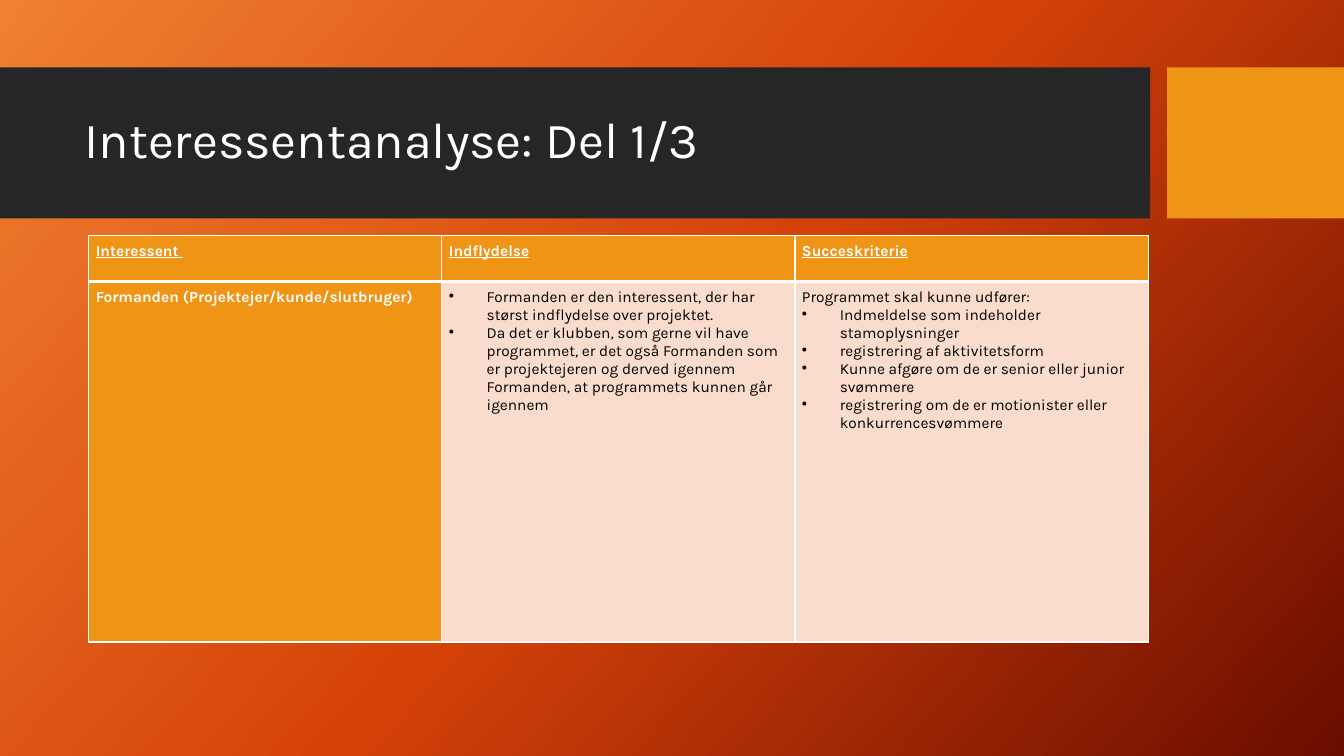
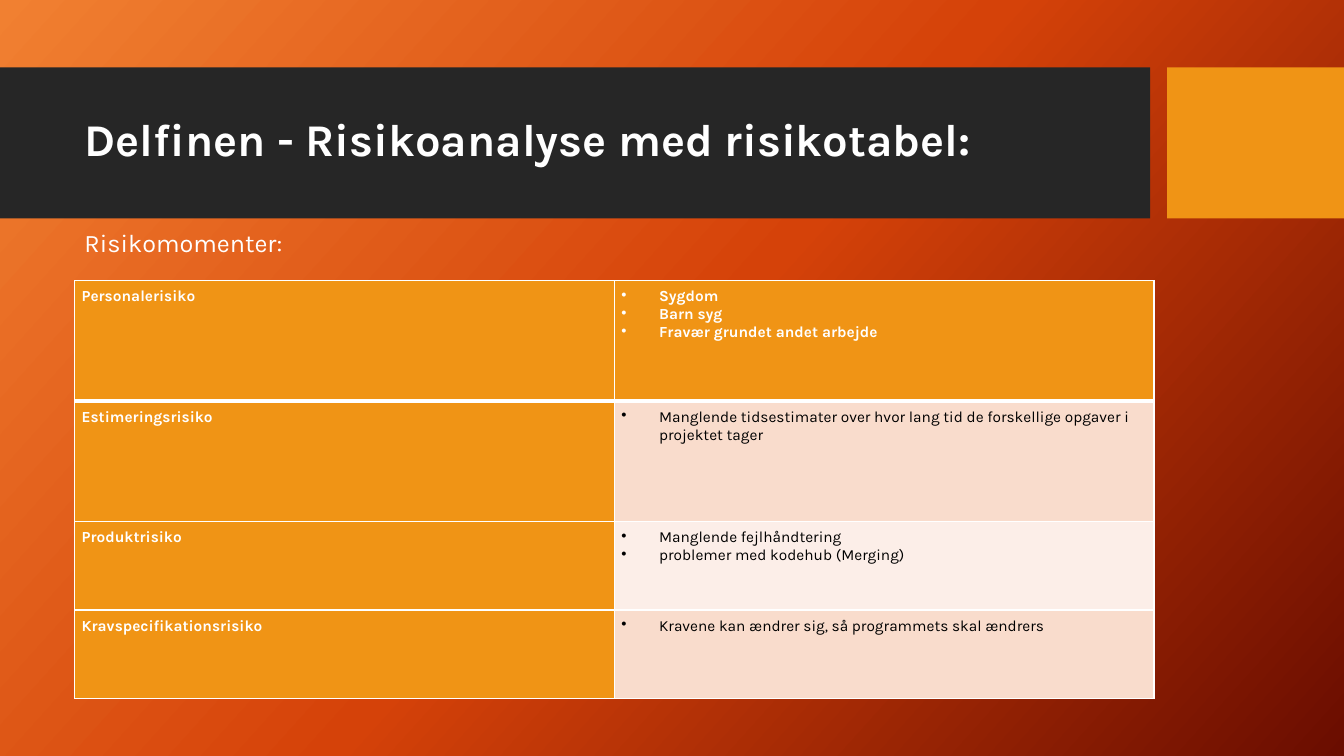
import copy
from dataclasses import dataclass

import pptx
import pptx.dml.color
import pptx.enum.dml
import pptx.enum.shapes
import pptx.enum.text
import pptx.oxml
import pptx.oxml.ns
import pptx.util

Pt = pptx.util.Pt
qn = pptx.oxml.ns.qn


# Theme
@dataclass(frozen=True)
class Theme:
    font: str = "Karla"
    white: str = "FFFFFF"
    black: str = "000000"
    dark: str = "262626"
    gold: str = "F09415"
    rose: str = "F9DCCC"
    pale: str = "FCEEE8"
    glow: tuple[str, ...] = ("F18031", "D54209", "6A0D00")
    angle: int = 42
    title: float = 36
    small: float = 32.4
    sub: float = 18
    cell: float = 11
    inset: float = 5
    indent: float = 27
    thin: float = 1
    thick: float = 3


THEME = Theme()


@dataclass(frozen=True)
class Box:
    left: float
    top: float
    width: float
    height: float

    def points(self) -> tuple[int, ...]:
        return tuple(map(Pt, (self.left, self.top, self.width, self.height)))


@dataclass(frozen=True)
class Band:
    box: Box
    fill: str


@dataclass(frozen=True)
class Cell:
    lines: tuple[str, ...]
    fill: str = THEME.gold
    bold: bool = True
    under: bool = False
    plain: int = 0  # lines before the bullets start


@dataclass(frozen=True)
class Grid:
    left: float
    top: float
    width: float
    heights: tuple[float, ...]
    rows: tuple[tuple[Cell, ...], ...]


BANDS = (
    Band(Box(0, 48.2, 821.6, 107.8), THEME.dark),
    Band(Box(833.6, 48.2, 126.4, 107.8), THEME.gold),
)
TITLE = Box(53.3, 59, 756.7, 85)
SUB = Box(53.3, 159.1, 385, 51)


def head(text: str) -> Cell:
    return Cell((text,), under=True, plain=1)


def label(text: str) -> Cell:
    return Cell((text,), plain=1)


def body(*lines: str, fill: str = THEME.rose, plain: int = 0) -> Cell:
    return Cell(lines, fill, bold=False, plain=plain)


# Content
PARTIES = Grid(63.4, 168.1, 756.7, (33, 257.5), (
    (head("Interessent\u00a0"), head("Indflydelse"), head("Succeskriterie")),
    (
        label("Formanden (Projektejer/kunde/slutbruger)"),
        body(
            "Formanden er den interessent, der har størst indflydelse over projektet.",
            "Da det er klubben, som gerne vil have programmet, er det også Formanden "
            "som er projektejeren og derved igennem Formanden, at programmets kunnen "
            "går igennem",
        ),
        body(
            "Programmet skal kunne udfører:",
            "Indmeldelse som indeholder stamoplysninger",
            "registrering af aktivitetsform",
            "Kunne afgøre om de er senior eller junior svømmere",
            "registrering om de er motionister eller konkurrencesvømmere",
            plain=1,
        ),
    ),
))
RISKS = Grid(53.3, 200.5, 771, (86, 86, 63.3, 63.3), (
    (label("Personalerisiko"),
     Cell(("Sygdom", "Barn syg", "Fravær grundet andet arbejde"))),
    (label("Estimeringsrisiko"),
     body("Manglende tidsestimater over hvor lang tid de forskellige opgaver i "
          "projektet tager")),
    (label("Produktrisiko"),
     body("Manglende fejlhåndtering", "problemer med kodehub (Merging)",
          fill=THEME.pale)),
    (label("Kravspecifikationsrisiko"),
     body("Kravene kan ændrer sig, så programmets skal ændrers")),
))


# Drawing
def color(code: str) -> pptx.dml.color.RGBColor:
    return pptx.dml.color.RGBColor.from_string(code)


def style(para, size: float, ink: str = THEME.white,
          bold: bool = False, under: bool = False) -> None:
    font = para.font
    font.name, font.size = THEME.font, Pt(size)
    font.bold, font.underline = bold, under
    font.color.rgb = color(ink)


def backdrop(layout) -> None:
    fill = layout.background.fill
    fill.gradient()
    fill.gradient_angle = 360 - THEME.angle
    stops = next(layout.element.iter(qn("a:gsLst")))
    stops.insert(1, copy.deepcopy(stops[0]))
    last = len(THEME.glow) - 1
    for rank, (stop, code) in enumerate(zip(fill.gradient_stops, THEME.glow)):
        stop.position = rank / last
        stop.color.rgb = color(code)


def bands(slide, layout) -> None:
    """Draw the bands, then move them to the back of the shared layout."""
    for rank, band in enumerate(BANDS):
        shape = slide.shapes.add_shape(
            pptx.enum.shapes.MSO_SHAPE.RECTANGLE, *band.box.points())
        shape.shadow.inherit = False
        shape.fill.solid()
        shape.fill.fore_color.rgb = color(band.fill)
        shape.line.fill.background()
        layout.shapes.element.insert(2 + rank, shape.element)


def title(slide, text: str, size: float, bold: bool = False) -> None:
    shape = slide.shapes.title
    shape.left, shape.top, shape.width, shape.height = TITLE.points()
    frame = shape.text_frame
    frame.text = text
    frame.auto_size = pptx.enum.text.MSO_AUTO_SIZE.NONE
    frame.vertical_anchor = pptx.enum.text.MSO_ANCHOR.MIDDLE
    para = frame.paragraphs[0]
    para.alignment = pptx.enum.text.PP_ALIGN.LEFT
    para.line_spacing = 0.9
    style(para, size, bold=bold)


def subhead(slide, text: str) -> None:
    frame = slide.shapes.add_textbox(*SUB.points()).text_frame
    frame.word_wrap = True
    frame.text = text
    style(frame.paragraphs[0], THEME.sub)


def bullet(para) -> None:
    props = para._p.get_or_add_pPr()
    props.set("marL", str(Pt(THEME.indent)))
    props.set("indent", str(-Pt(THEME.indent)))
    mark = pptx.oxml.parse_xml(
        f'<a:buChar {pptx.oxml.ns.nsdecls("a")} char="•"/>')
    props.insert(0, mark)


def border(cell, top: float, base: float) -> None:
    props = cell._tc.get_or_add_tcPr()
    sides = {"L": THEME.thin, "R": THEME.thin, "T": top, "B": base}
    for rank, (side, width) in enumerate(sides.items()):
        props.insert(rank, pptx.oxml.parse_xml(
            f'<a:ln{side} {pptx.oxml.ns.nsdecls("a")} w="{Pt(width)}">'
            f'<a:solidFill><a:srgbClr val="{THEME.white}"/></a:solidFill>'
            f'</a:ln{side}>'))


def write(cell, item: Cell) -> None:
    cell.margin_left = cell.margin_right = Pt(THEME.inset)
    cell.margin_top = cell.margin_bottom = Pt(THEME.inset)
    cell.fill.solid()
    cell.fill.fore_color.rgb = color(item.fill)
    cell.text_frame.text = "\n".join(item.lines)
    ink = THEME.white if item.bold else THEME.black
    for rank, para in enumerate(cell.text_frame.paragraphs):
        style(para, THEME.cell, ink, item.bold, item.under)
        if rank >= item.plain:
            bullet(para)


def table(slide, grid: Grid) -> None:
    count = len(grid.rows[0])
    box = Box(grid.left, grid.top, grid.width, sum(grid.heights))
    made = slide.shapes.add_table(len(grid.rows), count, *box.points()).table
    made.first_row = made.horz_banding = False
    for column in made.columns:
        column.width = Pt(grid.width / count)
    for row, (height, items) in enumerate(zip(grid.heights, grid.rows)):
        made.rows[row].height = Pt(height)
        for col, item in enumerate(items):
            cell = made.cell(row, col)
            write(cell, item)
            border(cell,
                   top=THEME.thick if row == 1 else THEME.thin,
                   base=THEME.thick if row == 0 else THEME.thin)


# Slides
deck = pptx.Presentation()
deck.slide_width, deck.slide_height = Pt(960), Pt(540)
layout = deck.slide_layouts.get_by_name("Title Only")
backdrop(layout)

party = deck.slides.add_slide(layout)
bands(party, layout)
title(party, "Interessentanalyse: Del 1/3", THEME.title)
table(party, PARTIES)

risk = deck.slides.add_slide(layout)
title(risk, "Delfinen - Risikoanalyse med risikotabel:", THEME.small, bold=True)
table(risk, RISKS)
subhead(risk, "Risikomomenter:")

deck.save("out.pptx")
